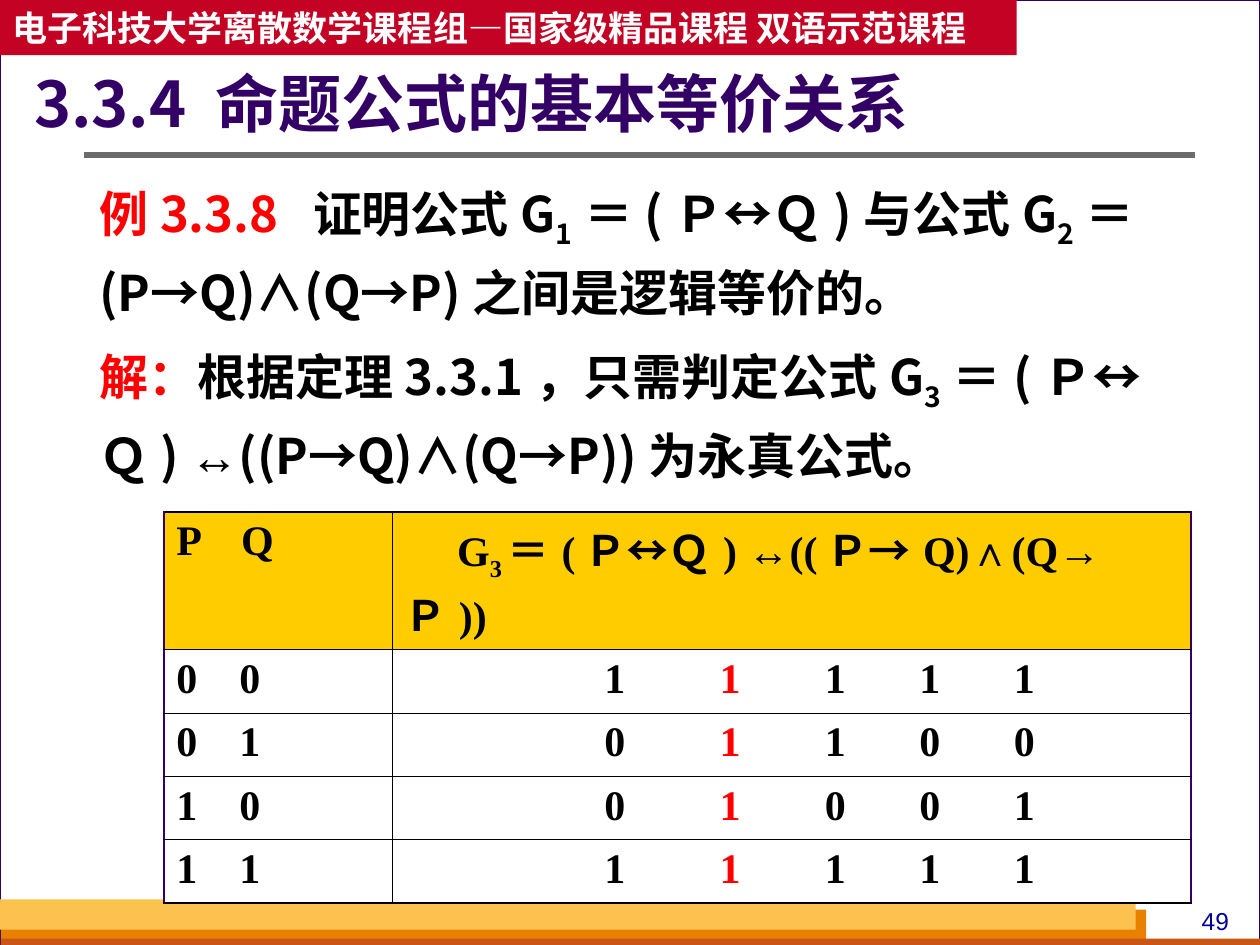
import pptx
import pptx.dml.color
import pptx.enum.shapes
import pptx.enum.text
import pptx.oxml.ns
import pptx.util
from lxml import etree

Pt = pptx.util.Pt
SANS = "Noto Sans CJK SC"
SERIF = "Times New Roman"
BLACK, WHITE, RED, PURPLE = "000000", "FFFFFF", "FF0000", "330066"
LEFT, MIDDLE = pptx.enum.text.PP_ALIGN.LEFT, pptx.enum.text.MSO_ANCHOR.MIDDLE
TRUTH_ROWS = [("00", "11111"), ("01", "01100"), ("10", "01001"), ("11", "11111")]
HEADER_HEIGHT, ROW_HEIGHT = 78.8, 36.2


def color(hex_string):
    return pptx.dml.color.RGBColor.from_string(hex_string)


def add_element(parent, tag, **attributes):
    return etree.SubElement(parent, pptx.oxml.ns.qn(tag), attributes)


def paint(target, hex_string):
    target.fill.solid()
    target.fill.fore_color.rgb = color(hex_string)


def add_block(slide, left, top, width, height, fill, line=None):
    shape = slide.shapes.add_shape(
        pptx.enum.shapes.MSO_SHAPE.RECTANGLE, Pt(left), Pt(top), Pt(width), Pt(height))
    shape.shadow.inherit = False
    paint(shape, fill)
    if line:
        shape.line.color.rgb = color(line)
        shape.line.width = Pt(0.75)
    else:
        shape.line.fill.background()
    return shape


def add_rule(slide, left, right, y):
    rule = slide.shapes.add_connector(
        pptx.enum.shapes.MSO_CONNECTOR.STRAIGHT, Pt(left), Pt(y), Pt(right), Pt(y))
    rule.line.color.rgb = color("6B6B6B")
    rule.line.width = Pt(3)
    add_element(rule._element.spPr, "a:effectLst")


def set_frame(frame, margins, anchor=pptx.enum.text.MSO_ANCHOR.TOP):
    frame.word_wrap = True
    frame.vertical_anchor = anchor
    frame.margin_left, frame.margin_top, frame.margin_right, frame.margin_bottom = map(Pt, margins)


def set_tabs(paragraph, positions):
    tabs = add_element(paragraph._p.get_or_add_pPr(), "a:tabLst")
    for position in positions:
        add_element(tabs, "a:tab", pos=str(Pt(position)), algn="l")


def add_runs(paragraph, pieces, size, font, bold=True):
    for text, hex_string, *style in pieces:
        run = paragraph.add_run()
        run.text = text
        run.font.name = "Arial" if "arial" in style else font
        run.font.size = Pt(size)
        run.font.bold = bold
        run.font.color.rgb = color(hex_string)
        properties = run._r.get_or_add_rPr()
        add_element(properties, "a:ea", typeface=SANS)
        if "sub" in style:
            properties.set("baseline", "-25000")


def add_label(shape, text, size, font, hex_string, margins, anchor, align=LEFT, bold=True):
    set_frame(shape.text_frame, margins, anchor)
    paragraph = shape.text_frame.paragraphs[0]
    paragraph.alignment = align
    add_runs(paragraph, [(text, hex_string)], size, font, bold)
    return paragraph


def add_background(slide):
    slide.background.fill.solid()
    slide.background.fill.fore_color.rgb = color("D8DADA")
    add_block(slide, 0, 0, 720, 540, WHITE, PURPLE)
    add_block(slide, 0.5, 519.8, 654.5, 20.2, "E88000")
    add_block(slide, 0.5, 536.4, 719.5, 5.8, "C95616")
    add_block(slide, 0, 514, 649, 17.3, "FCC24F")
    number = slide.shapes.add_textbox(Pt(671.8), Pt(514), Pt(45.4), Pt(24.5))
    add_label(number, "49", 14, "Arial", "000099", (7.2, 3.6, 7.2, 3.6),
              MIDDLE, pptx.enum.text.PP_ALIGN.CENTER, False)
    add_rule(slide, 48, 683, 88.5)


def add_headings(slide):
    banner = add_block(slide, 0, 0, 581, 31.5, "C30224")
    add_label(banner, "电子科技大学离散数学课程组—国家级精品课程 双语示范课程", 20, SANS,
              WHITE, (7.2, 3.6, 7.2, 3.6), MIDDLE)
    title = add_block(slide, 19.5, 38.2, 516, 46, WHITE)
    paragraph = add_label(title, "3.3.4 命题公式的基本等价关系", 36, SANS,
                          PURPLE, (0, 3.6, 7.2, 3.6), MIDDLE)
    paragraph.line_spacing = 0.9


def add_body(slide):
    body = add_block(slide, 54, 94.3, 631, 185, WHITE)
    set_frame(body.text_frame, (2.9, 2.9, 2.9, 2.9))
    example = body.text_frame.paragraphs[0]
    solution = body.text_frame.add_paragraph()
    set_tabs(example, [122])
    solution.space_before = Pt(7)
    for paragraph in (example, solution):
        paragraph.alignment = LEFT
        paragraph.line_spacing = 1.2
    add_runs(example, [
        ("例3.3.8\t", RED), ("证明公式G", BLACK), ("1", BLACK, "sub"), ("＝(Ｐ", BLACK),
        ("↔", BLACK, "arial"), ("Ｑ)与公式G", BLACK), ("2", BLACK, "sub"),
        ("＝(P→Q)∧(Q→P)之间是逻辑等价的。", BLACK)], 28, SANS)
    add_runs(solution, [
        ("解：", RED), ("根据定理3.3.1，只需判定公式G", BLACK), ("3", BLACK, "sub"),
        ("＝(Ｐ", BLACK), ("↔", BLACK, "arial"), ("Ｑ) ", BLACK), ("↔", BLACK, "arial"),
        ("((P→Q)∧(Q→P))为永真公式。", BLACK)], 28, SANS)


def set_borders(cell, borders):
    properties = cell._tc.get_or_add_tcPr()
    for index, (tag, (hex_string, width)) in enumerate(borders.items()):
        line = etree.Element(pptx.oxml.ns.qn(tag), w=str(Pt(width)))
        fill = add_element(line, "a:solidFill")
        add_element(fill, "a:srgbClr", val=hex_string)
        properties.insert(index, line)


def fill_cell(table, row, column, pieces, tabs=()):
    cell = table.cell(row, column)
    paint(cell, WHITE if row else "FFCC00")
    set_frame(cell, (7.2, 3.6, 7.2, 3.6))
    paragraph = cell.text_frame.paragraphs[0]
    if tabs:
        set_tabs(paragraph, tabs)
    add_runs(paragraph, pieces, 24, SERIF)
    inner = (BLACK, 0.45)
    set_borders(cell, {
        "a:lnL": inner if column else (PURPLE, 1.08),
        "a:lnR": (PURPLE, 1.08) if column else inner,
        "a:lnT": inner if row else (BLACK, 1.08),
        "a:lnB": (BLACK, 1.08) if row == len(TRUTH_ROWS) else inner})
    return paragraph


def add_truth_table(slide):
    row_count = len(TRUTH_ROWS) + 1
    height = HEADER_HEIGHT + len(TRUTH_ROWS) * ROW_HEIGHT
    table = slide.shapes.add_table(
        row_count, 2, Pt(93.6), Pt(292.5), Pt(587), Pt(height)).table
    for column, width in zip(table.columns, (130.5, 456.5)):
        column.width = Pt(width)
    for index, row in enumerate(table.rows):
        row.height = Pt(ROW_HEIGHT if index else HEADER_HEIGHT)
    fill_cell(table, 0, 0, [("P\tQ", BLACK)], [37])
    formula = fill_cell(table, 0, 1, [
        ("G", BLACK), ("3", BLACK, "sub"), ("＝(Ｐ", BLACK), ("↔", BLACK, "arial"),
        ("Ｑ) ", BLACK), ("↔", BLACK, "arial"), ("((Ｐ→Q)∧(Q→Ｐ))", BLACK)])
    formula._p.get_or_add_pPr().set("indent", str(Pt(30)))
    for row, (inputs, values) in enumerate(TRUTH_ROWS, start=1):
        fill_cell(table, row, 0, [("\t".join(inputs), BLACK)], [36])
        pieces = [("\t" + value, RED if index == 1 else BLACK)
                  for index, value in enumerate(values)]
        fill_cell(table, row, 1, pieces, [114, 180, 240, 294, 348])


def main():
    presentation = pptx.Presentation()
    presentation.slide_width, presentation.slide_height = Pt(720), Pt(540)
    slide = presentation.slides.add_slide(presentation.slide_layouts[6])
    add_background(slide)
    add_headings(slide)
    add_body(slide)
    add_truth_table(slide)
    presentation.save("out.pptx")


if __name__ == "__main__":
    main()
